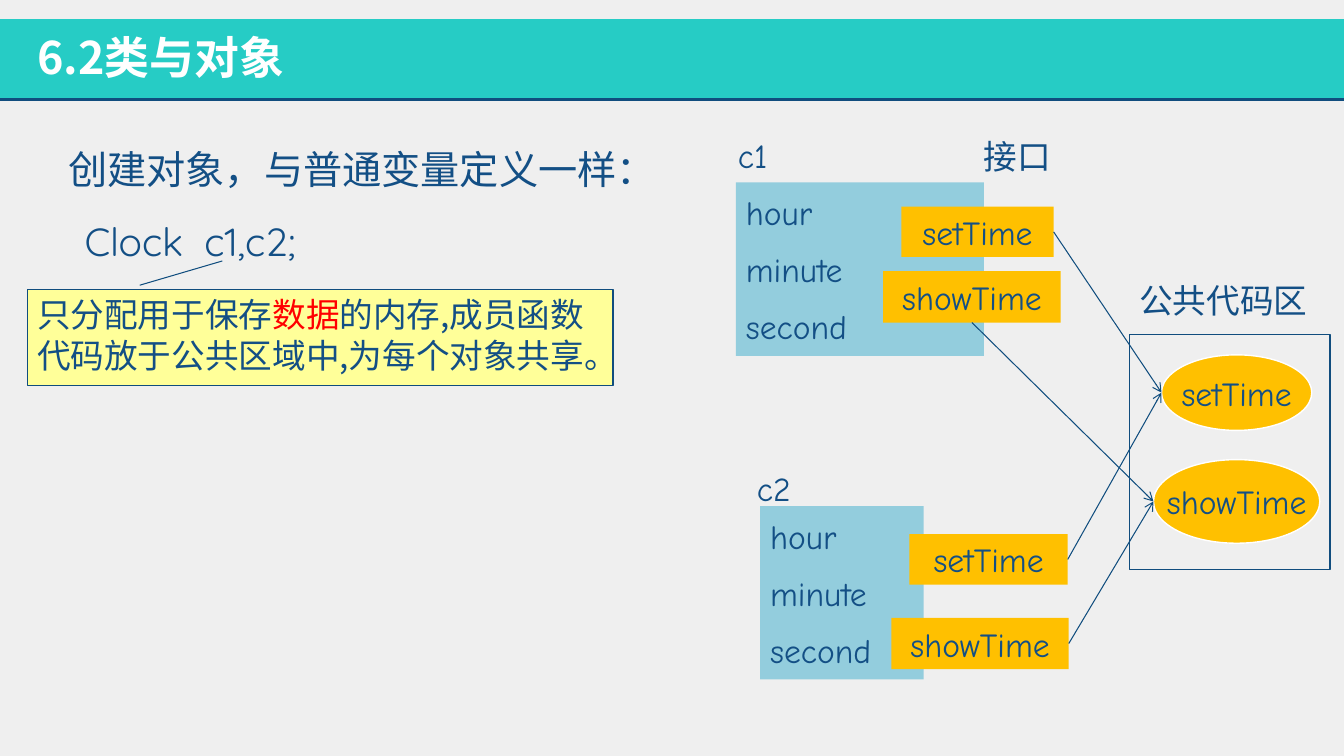
from lxml.etree import SubElement
from pptx import Presentation
from pptx.dml.color import RGBColor
from pptx.enum.shapes import MSO_CONNECTOR, MSO_SHAPE
from pptx.enum.text import MSO_ANCHOR, PP_ALIGN
from pptx.oxml.ns import qn
from pptx.util import Emu, Pt

EMU_PER_PX = 9144
COLORS = {
    "background": "EFEFEF",
    "banner": "26CCC5",
    "line": "104D7E",
    "text": "134F85",
    "white": "FFFFFF",
    "note": "FFFF99",
    "red": "FF0000",
    "object": "93CDDD",
    "function": "FFC000",
}
CHINESE = "Noto Sans CJK JP"
COMIC = "Comic Neue"


def px(value):
    return Emu(round(value * EMU_PER_PX))


def color(name):
    return RGBColor.from_string(COLORS[name])


class SlideBuilder:
    def __init__(self, slide):
        self.slide = slide
        slide.background.fill.solid()
        slide.background.fill.fore_color.rgb = color("background")

    def set_text(self, shape, paragraphs, font=COMIC, size=24, bold=False, ink="text",
                 anchor=MSO_ANCHOR.TOP, align=PP_ALIGN.LEFT, wrap=True, spaced=False):
        frame = shape.text_frame
        for name, value in {"word_wrap": wrap, "vertical_anchor": anchor}.items():
            setattr(frame, name, value)
        for index, runs in enumerate(paragraphs):
            paragraph = frame.add_paragraph() if index else frame.paragraphs[0]
            paragraph.alignment = align
            if spaced:
                before = SubElement(paragraph._p.get_or_add_pPr(), qn("a:spcBef"))
                SubElement(before, qn("a:spcPct"), val="50000")
            for text, run_ink in [(runs, ink)] if isinstance(runs, str) else runs:
                run = paragraph.add_run()
                run.text = text
                for name, value in {"name": font, "size": Pt(size), "bold": bold}.items():
                    setattr(run.font, name, value)
                run.font.color.rgb = color(run_ink)
                SubElement(run._r.get_or_add_rPr(), qn("a:ea"), typeface=CHINESE)

    def label(self, box, text, **style):
        shape = self.slide.shapes.add_textbox(*map(px, box))
        self.set_text(shape, [text], **style)

    def shape(self, kind, box, fill=None, line=None, width=1, paragraphs=(), **style):
        shape = self.slide.shapes.add_shape(kind, *map(px, box))
        shape.shadow.inherit = False
        if fill:
            shape.fill.solid()
            shape.fill.fore_color.rgb = color(fill)
        else:
            shape.fill.background()
        if line:
            shape.line.color.rgb = color(line)
            shape.line.width = Pt(width)
        else:
            shape.line.fill.background()
        if paragraphs:
            self.set_text(shape, paragraphs, **style)
        return shape

    def function(self, box, name, kind=MSO_SHAPE.RECTANGLE, **style):
        return self.shape(kind, box, "function", paragraphs=[name],
                          anchor=MSO_ANCHOR.MIDDLE, align=PP_ALIGN.CENTER, **style)

    def members(self, box):
        self.shape(MSO_SHAPE.RECTANGLE, box, "object", paragraphs=["hour", "minute", "second"],
                   anchor=MSO_ANCHOR.MIDDLE, spaced=True)

    def line(self, start, end, width):
        connector = self.slide.shapes.add_connector(MSO_CONNECTOR.STRAIGHT, *map(px, start + end))
        connector.line.color.rgb = color("line")
        connector.line.width = Pt(width)
        SubElement(connector._element.spPr, qn("a:effectLst"))
        return connector

    def call(self, caller, side, end):
        connector = self.line((0, 0), end, 0.75)
        connector.begin_connect(caller, side)
        SubElement(connector._element.spPr.find(qn("a:ln")), qn("a:tailEnd"), type="arrow")


def main():
    presentation = Presentation()
    presentation.slide_width, presentation.slide_height = px(1333), px(750)
    builder = SlideBuilder(presentation.slides.add_slide(presentation.slide_layouts[6]))

    builder.shape(MSO_SHAPE.RECTANGLE, (0, 19, 1333, 80), "banner")
    builder.line((0, 99), (1333, 99), 2)
    builder.label((27, 25, 878, 64), "6.2类与对象", font=CHINESE, size=32, bold=True, ink="white")
    builder.label((58, 139, 900, 57), "创建对象，与普通变量定义一样：", font=CHINESE, size=28)
    builder.label((74, 211, 299, 56), "Clock  c1,c2;", font="Quicksand", size=28,
                  anchor=MSO_ANCHOR.BOTTOM)

    note = [("只分配用于保存", "text"), ("数据", "red"),
            ("的内存,成员函数代码放于公共区域中,为每个对象共享。", "text")]
    callout = builder.shape(MSO_SHAPE.LINE_CALLOUT_1, (27, 287, 581, 95), "note", "line", 0.75,
                            [note], font=CHINESE)
    for index, value in enumerate((-0.043, 0.192, -0.296, 0.333)):
        callout.adjustments[index] = value

    for box, text in [((722, 129, 97, 50), "c1"), ((741, 459, 97, 50), "c2"),
                      ((966, 130, 199, 51), "接口"), ((1120, 273, 199, 51), "公共代码区")]:
        builder.label(box, text, spaced=True)

    builder.shape(MSO_SHAPE.RECTANGLE, (1120, 332, 199, 233), line="line")
    entries = {}
    for name, box in {"setTime": (1152, 352, 149, 75), "showTime": (1144, 456, 165, 83)}.items():
        builder.function(box, name, MSO_SHAPE.OVAL, line="white", wrap=False)
        left, top, width, height = box
        entries[name] = (left, top + height / 2)

    objects = [
        ((730, 181, 246, 172),
         [("setTime", (894, 205, 151, 50), 3), ("showTime", (876, 269, 176, 51), 2)]),
        ((754, 502, 162, 172),
         [("setTime", (902, 530, 157, 50), 3), ("showTime", (884, 613, 176, 51), 3)]),
    ]
    for box, functions in objects:
        builder.members(box)
        for name, function_box, side in functions:
            builder.call(builder.function(function_box, name), side, entries[name])

    presentation.save("out.pptx")


if __name__ == "__main__":
    main()
